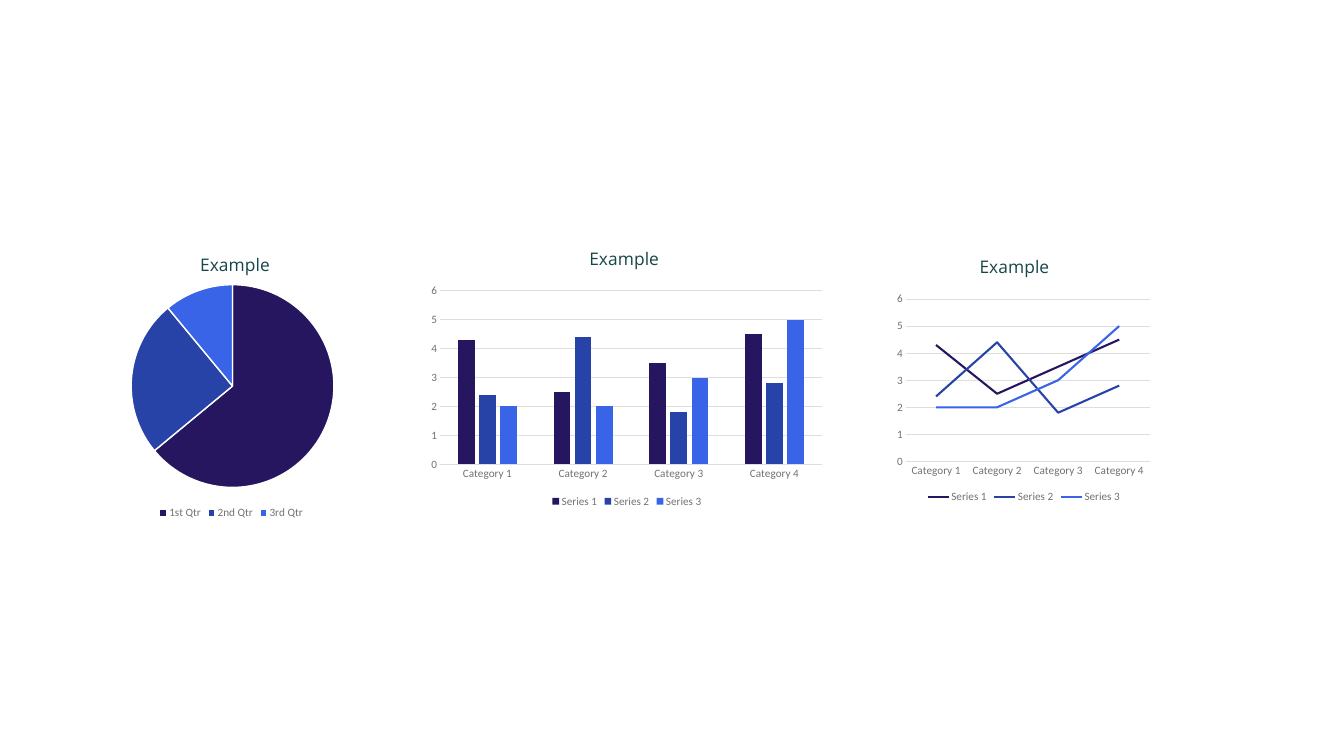
from dataclasses import dataclass

from lxml import etree
from pptx import Presentation
from pptx.chart import data as chart_data
from pptx.dml.color import RGBColor
from pptx.enum import chart as ec
from pptx.oxml import ns
from pptx.util import Cm, Pt

COLORS = {
    "navy": "26155F",
    "blue": "2743A8",
    "bright": "3A64E8",
    "title": "184547",
    "label": "727272",
    "text": "262626",
    "grid": "DEDEDE",
    "white": "FFFFFF",
}
SERIES_COLORS = ("navy", "blue", "bright")
CATEGORIES = tuple(f"Category {number}" for number in range(1, 5))
CATEGORY_SERIES = {
    "Series 1": (4.3, 2.5, 3.5, 4.5),
    "Series 2": (2.4, 4.4, 1.8, 2.8),
    "Series 3": (2, 2, 3, 5),
}


@dataclass(frozen=True)
class ChartPanel:
    """A chart; box in cm, title and plot places as fractions of the box."""
    kind: ec.XL_CHART_TYPE
    box: tuple[float, float, float, float]
    title_at: tuple[float, float]
    plot_at: tuple[float, float, float, float]
    categories: tuple[str, ...]
    series: dict[str, tuple[float, ...]]


PANELS = (
    ChartPanel(ec.XL_CHART_TYPE.PIE, (4.11, 8.79, 9.27, 10.95),
               (0.36, 0.05), (0.09, 0.18, 0.83, 0.7),
               ("1st Qtr", "2nd Qtr", "3rd Qtr"), {"Series 1": (64, 25, 11)}),
    ChartPanel(ec.XL_CHART_TYPE.COLUMN_CLUSTERED, (16, 9.04, 15.39, 10.26),
               (0.4, 0.01), (0.04, 0.19, 0.94, 0.64),
               CATEGORIES, CATEGORY_SERIES),
    ChartPanel(ec.XL_CHART_TYPE.LINE, (33.73, 9.22, 9.93, 9.91),
               (0.32, 0.02), (0.05, 0.21, 0.93, 0.62),
               CATEGORIES, CATEGORY_SERIES),
)


def color(name: str) -> RGBColor:
    return RGBColor.from_string(COLORS[name])


def format_font(font, *, size: float, color_name: str,
                name: str = "Calibri") -> None:
    font.name = name
    font.size = Pt(size)
    font.bold = False
    font.color.rgb = color(color_name)


def format_line(line, color_name: str, width: float) -> None:
    line.color.rgb = color(color_name)
    line.width = Pt(width)


def set_layout(parent, index: int, place: tuple[float, ...]) -> None:
    """Give a chart part a fixed place: x, y and, if present, w, h."""
    for old in parent.findall(ns.qn("c:layout")):
        parent.remove(old)
    layout = etree.Element(ns.qn("c:layout"))
    manual = etree.SubElement(layout, ns.qn("c:manualLayout"))
    settings = [("xMode", "edge"), ("yMode", "edge"), *zip("xywh", place)]
    if len(place) == 4:
        settings.insert(0, ("layoutTarget", "inner"))
    for tag, value in settings:
        etree.SubElement(manual, ns.qn(f"c:{tag}")).set("val", str(value))
    parent.insert(index, layout)


def set_title(chart, title: str, place: tuple[float, float]) -> None:
    chart.has_title = True
    paragraph = chart.chart_title.text_frame.paragraphs[0]
    run = paragraph.add_run()
    run.text = title
    format_font(run.font, size=18.6, color_name="title", name="Open Sans")
    chart.chart_title.include_in_layout = False
    set_layout(chart._chartSpace.chart.find(ns.qn("c:title")), 1, place)


def format_axes(chart) -> None:
    for axis in (chart.category_axis, chart.value_axis):
        axis.major_tick_mark = ec.XL_TICK_MARK.NONE
        axis.minor_tick_mark = ec.XL_TICK_MARK.NONE
        format_font(axis.tick_labels.font, size=12, color_name="label")
    format_line(chart.category_axis.format.line, "grid", 0.75)
    value_axis = chart.value_axis
    value_axis.format.line.fill.background()
    value_axis.minimum_scale = 0
    value_axis.maximum_scale = 6
    value_axis.major_unit = 1
    value_axis.has_major_gridlines = True
    format_line(value_axis.major_gridlines.format.line, "grid", 0.75)


def color_series(plot, kind: ec.XL_CHART_TYPE) -> None:
    is_pie = kind == ec.XL_CHART_TYPE.PIE
    plot.vary_by_categories = is_pie
    for index, color_name in enumerate(SERIES_COLORS):
        if kind == ec.XL_CHART_TYPE.LINE:
            series = plot.series[index]
            series.smooth = False
            format_line(series.format.line, color_name, 2.25)
            continue
        part = plot.series[0].points[index] if is_pie else plot.series[index]
        part.format.fill.solid()
        part.format.fill.fore_color.rgb = color(color_name)
        if is_pie:
            format_line(part.format.line, "white", 1.5)


def add_panel(slide, panel: ChartPanel) -> None:
    data = chart_data.CategoryChartData()
    data.categories = panel.categories
    for name, values in panel.series.items():
        data.add_series(name, values)
    box = [Cm(length) for length in panel.box]
    chart = slide.shapes.add_chart(panel.kind, *box, data).chart

    format_font(chart.font, size=10, color_name="text")
    set_title(chart, "Example", panel.title_at)
    chart.has_legend = True
    chart.legend.position = ec.XL_LEGEND_POSITION.BOTTOM
    chart.legend.include_in_layout = False
    format_font(chart.legend.font, size=12, color_name="label")
    set_layout(chart._chartSpace.chart.plotArea, 0, panel.plot_at)

    plot = chart.plots[0]
    color_series(plot, panel.kind)
    if panel.kind != ec.XL_CHART_TYPE.PIE:
        format_axes(chart)
    if panel.kind == ec.XL_CHART_TYPE.COLUMN_CLUSTERED:
        plot.gap_width = 219
        plot.overlap = -27


def main() -> None:
    presentation = Presentation()
    presentation.slide_width = Cm(50.8)
    presentation.slide_height = Cm(28.575)
    slide = presentation.slides.add_slide(presentation.slide_layouts[6])
    for panel in PANELS:
        add_panel(slide, panel)
    presentation.save("out.pptx")


if __name__ == "__main__":
    main()
